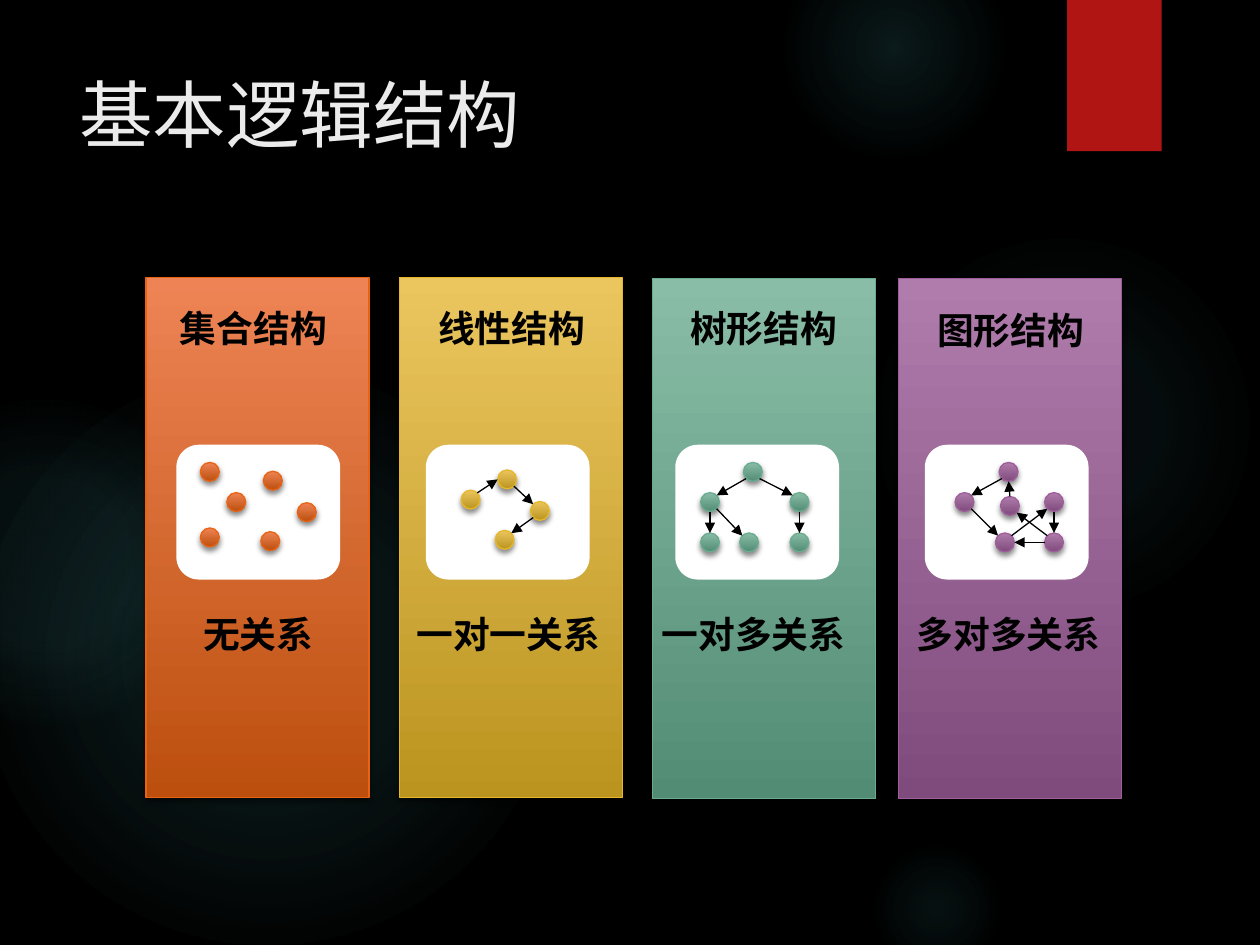
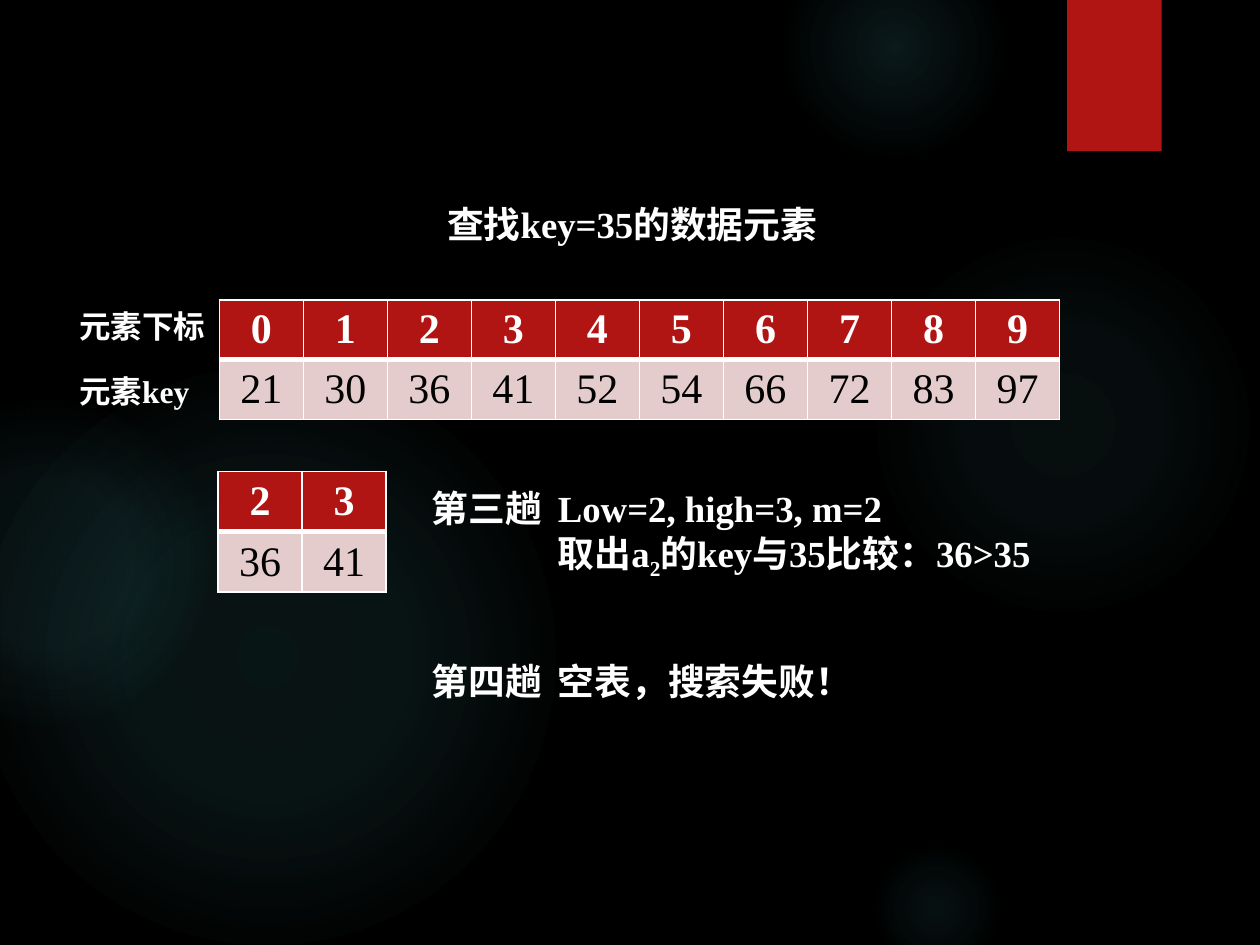
"""Builds two slides on data structures: the basic logical structures and a failed binary search."""
import math
from dataclasses import dataclass
from typing import NamedTuple

from pptx import Presentation
from pptx import util as u
from pptx.dml.color import RGBColor
from pptx.enum import shapes, text
from pptx.oxml import parse_xml
from pptx.oxml.ns import nsdecls, qn

EMU_PER_PX = 9144
CJK_FONT, LATIN_FONT = "Noto Sans CJK SC", "Times New Roman"
BLACK, WHITE, TITLE_GREY = "000000", "FFFFFF", "EBEBEB"
RED, PINK, GLOW_TEAL = "B01513", "E4CCCC", "50B9C1"
NODE_SIZE = 15
PANEL_SIZE = (177, 413)
TABLE_COLUMN, TABLE_HEIGHT = 66.7, 95


class Box(NamedTuple):
    left: float
    top: float
    width: float
    height: float


class Style(NamedTuple):
    size: int
    colour: str
    font: str = LATIN_FONT
    bold: bool = True


class Glow(NamedTuple):
    left: int
    top: int
    size: int
    stops: tuple[tuple[int, int], ...]


class Palette(NamedTuple):
    light: str
    dark: str
    line: str


class Edge(NamedTuple):
    """An arrow between two nodes; sites count eighths of a turn anticlockwise from the top."""
    start: int
    start_site: int
    end: int
    end_site: int


@dataclass(frozen=True)
class Structure:
    heading: str
    relation: str
    palette: Palette
    panel: tuple[int, int]
    heading_box: Box
    relation_box: Box
    nodes: tuple[tuple[int, int], ...]
    edges: tuple[Edge, ...] = ()


GLOWS = (
    Glow(689, 183, 308, ((0, 7), (36, 6), (69, 0))),
    Glow(622, -50, 175, ((0, 14), (36, 7), (73, 0))),
    Glow(689, 667, 108, ((0, 9), (36, 5), (66, 0))),
    Glow(-17, 292, 458, ((0, 11), (36, 10), (75, 0))),
    Glow(-92, 317, 258, ((0, 8), (36, 8), (72, 0))),
)
STRUCTURES = (
    Structure(
        "集合结构", "无关系", Palette("EE8455", "BC4F0E", "EA6312"), (116, 220),
        Box(133, 238, 150, 45), Box(128, 481, 154, 45),
        ((159, 367), (180, 391), (209, 374), (159, 419), (207, 422), (236, 399))),
    Structure(
        "线性结构", "一对一关系", Palette("EBC65F", "BB941F", "E6B729"), (317, 220),
        Box(338, 238, 150, 45), Box(320, 481, 167, 45),
        ((366, 389), (395, 373), (393, 421), (421, 398)),
        (Edge(0, 7, 1, 2), Edge(1, 5, 3, 1), Edge(3, 3, 2, 7))),
    Structure(
        "树形结构", "一对多关系", Palette("89BDA7", "538C74", "6AAC90"), (518, 221),
        Box(538, 238, 150, 45), Box(507, 481, 182, 45),
        ((590, 367), (556, 391), (627, 391), (556, 423), (587, 423), (627, 423)),
        (Edge(0, 3, 1, 7), Edge(0, 5, 2, 1), Edge(1, 4, 3, 0), Edge(1, 5, 4, 1),
         Edge(2, 4, 5, 0))),
    Structure(
        "图形结构", "多对多关系", Palette("AF7CAC", "7F4B7C", "9E5E9B"), (713, 221),
        Box(734, 239, 150, 45), Box(717, 481, 167, 45),
        ((793, 367), (758, 391), (829, 391), (794, 394), (790, 423), (829, 423)),
        (Edge(0, 3, 1, 7), Edge(1, 5, 4, 1), Edge(4, 7, 2, 3), Edge(2, 4, 5, 0),
         Edge(5, 2, 4, 6), Edge(5, 1, 3, 5), Edge(3, 0, 0, 4))),
)
KEYS = (21, 30, 36, 41, 52, 54, 66, 72, 83, 97)
TITLE = Style(42, TITLE_GREY, CJK_FONT, False)
PANEL_TEXT = Style(21, BLACK, CJK_FONT)
STEP_TEXT = Style(21, WHITE)


def px(length: float) -> int:
    return u.Emu(round(length * EMU_PER_PX))


def rgb(colour: str) -> RGBColor:
    return RGBColor.from_string(colour)


def add_shape(slide, kind, box: Box, fill: str | Palette, shadow: bool = False):
    """Draw a preset shape, plain without outline or shaded with one."""
    shape = slide.shapes.add_shape(kind, *map(px, box))
    shape.shadow.inherit = False
    if isinstance(fill, Palette):
        shape.fill.gradient()
        shape.fill.gradient_angle = 270
        for stop, colour, position in zip(shape.fill.gradient_stops, fill, (0, 1)):
            stop.color.rgb = rgb(colour)
            stop.position = position
        shape.line.color.rgb = rgb(fill.line)
        shape.line.width = u.Pt(0.75)
    else:
        shape.fill.solid()
        shape.fill.fore_color.rgb = rgb(fill)
        shape.line.fill.background()
    if shadow:
        shape._element.spPr.find(qn("a:effectLst")).append(parse_xml(
            f'<a:outerShdw {nsdecls("a")} blurRad="{u.Pt(3)}" dist="{u.Pt(2)}" dir="5400000" '
            f'rotWithShape="0"><a:srgbClr val="{BLACK}"><a:alpha val="45000"/></a:srgbClr>'
            '</a:outerShdw>'))
    return shape


def add_glow(slide, glow: Glow) -> None:
    """Draw a round light that fades out from its centre."""
    box = Box(glow.left, glow.top, glow.size, glow.size)
    properties = add_shape(slide, shapes.MSO_SHAPE.OVAL, box, GLOW_TEAL)._element.spPr
    stops = "".join(
        f'<a:gs pos="{position * 1000}"><a:srgbClr val="{GLOW_TEAL}">'
        f'<a:alpha val="{opacity * 1000}"/></a:srgbClr></a:gs>'
        for position, opacity in glow.stops)
    properties.replace(properties.find(qn("a:solidFill")), parse_xml(
        f'<a:gradFill {nsdecls("a")}><a:gsLst>{stops}</a:gsLst><a:path path="circle">'
        '<a:fillToRect l="50000" t="50000" r="50000" b="50000"/></a:path></a:gradFill>'))


def set_style(paragraph, style: Style) -> None:
    font = paragraph.font
    font.size, font.bold, font.name = u.Pt(style.size), style.bold, style.font
    font.color.rgb = rgb(style.colour)
    font._element.append(parse_xml(f'<a:ea {nsdecls("a")} typeface="{CJK_FONT}"/>'))


def add_text(slide, box: Box, content: str, style: Style, centred: bool = False):
    """Write one paragraph and return its text frame."""
    frame = slide.shapes.add_textbox(*map(px, box)).text_frame
    frame.word_wrap = True
    paragraph = frame.paragraphs[0]
    paragraph.text = content
    paragraph.alignment = text.PP_ALIGN.CENTER if centred else text.PP_ALIGN.LEFT
    set_style(paragraph, style)
    return frame


def set_indent(paragraph, left: int, first_line: int) -> None:
    properties = paragraph._p.get_or_add_pPr()
    properties.set("marL", str(px(left)))
    properties.set("indent", str(px(first_line)))


def add_step(slide, top: int, height: int, content: str):
    """Write a search step whose label hangs left of its description."""
    frame = add_text(slide, Box(333, top, 667, height), content, STEP_TEXT)
    set_indent(frame.paragraphs[0], 100, -100)
    return frame


def node_site(node: tuple[int, int], site: int) -> tuple[int, int]:
    radius, angle = NODE_SIZE / 2, math.pi / 2 + site * math.pi / 4
    return (px(node[0] + radius + radius * math.cos(angle)),
            px(node[1] + radius - radius * math.sin(angle)))


def add_arrow(slide, nodes: tuple[tuple[int, int], ...], edge: Edge) -> None:
    connector = slide.shapes.add_connector(
        shapes.MSO_CONNECTOR.STRAIGHT,
        *node_site(nodes[edge.start], edge.start_site),
        *node_site(nodes[edge.end], edge.end_site))
    connector.line.color.rgb = rgb(BLACK)
    connector.line.width = u.Pt(0.75)
    connector.line._get_or_add_ln().append(
        parse_xml(f'<a:tailEnd {nsdecls("a")} type="triangle"/>'))
    connector._element.spPr.append(parse_xml(f'<a:effectLst {nsdecls("a")}/>'))


def add_structure(slide, structure: Structure, card: Box) -> None:
    """Draw one coloured panel with its heading, diagram and relation."""
    palette = structure.palette
    add_shape(slide, shapes.MSO_SHAPE.RECTANGLE, Box(*structure.panel, *PANEL_SIZE), palette, True)
    add_text(slide, structure.heading_box, structure.heading, PANEL_TEXT)
    add_shape(slide, shapes.MSO_SHAPE.ROUNDED_RECTANGLE, card, WHITE)
    for node in structure.nodes:
        add_shape(slide, shapes.MSO_SHAPE.OVAL, Box(*node, NODE_SIZE, NODE_SIZE), palette, True)
    for edge in structure.edges:
        add_arrow(slide, structure.nodes, edge)
    add_text(slide, structure.relation_box, structure.relation, PANEL_TEXT, True)


def set_cell(cell, content: int, header: bool) -> None:
    cell.text = str(content)
    cell.vertical_anchor = text.MSO_ANCHOR.MIDDLE
    cell.margin_left = cell.margin_right = px(7)
    cell.margin_top = cell.margin_bottom = px(4)
    cell.fill.solid()
    cell.fill.fore_color.rgb = rgb(RED if header else PINK)
    paragraph = cell.text_frame.paragraphs[0]
    paragraph.alignment = text.PP_ALIGN.CENTER
    set_style(paragraph, Style(24, WHITE if header else BLACK, bold=header))
    thick_side = "B" if header else "T"
    for position, side in enumerate("LRTB"):
        width = u.Pt(3 if side == thick_side else 1)
        cell._tc.get_or_add_tcPr().insert(position, parse_xml(
            f'<a:ln{side} {nsdecls("a")} w="{width}"><a:solidFill>'
            f'<a:srgbClr val="{WHITE}"/></a:solidFill></a:ln{side}>'))


def add_key_table(slide, left: int, top: int, indices: range) -> None:
    """Show the given indices above the keys they point at."""
    box = Box(left, top, TABLE_COLUMN * len(indices), TABLE_HEIGHT)
    table = slide.shapes.add_table(2, len(indices), *map(px, box)).table
    table.horz_banding = False
    for column, index in enumerate(indices):
        set_cell(table.cell(0, column), index, True)
        set_cell(table.cell(1, column), KEYS[index], False)


def add_slide(presentation):
    """Add a blank slide with the shared glows and the red tab."""
    slide = presentation.slides.add_slide(presentation.slide_layouts[6])
    for glow in GLOWS:
        add_glow(slide, glow)
    add_shape(slide, shapes.MSO_SHAPE.RECTANGLE, Box(847, 0, 75, 120), RED, True)
    return slide


def build_structures_slide(presentation) -> None:
    slide = add_slide(presentation)
    add_text(slide, Box(53, 50, 772, 153), "基本逻辑结构", TITLE)
    for position, structure in enumerate(STRUCTURES):
        add_structure(slide, structure, Box(140 + 198 * position, 353, 130, 107))


def build_search_slide(presentation) -> None:
    slide = add_slide(presentation)
    add_key_table(slide, 174, 238, range(len(KEYS)))
    add_text(slide, Box(53, 239, 121, 40), "元素下标", Style(18, WHITE, "League Spartan"))
    add_text(slide, Box(53, 290, 167, 40), "元素key", Style(18, WHITE))
    add_text(slide, Box(345, 155, 427, 45), "查找key=35的数据元素", STEP_TEXT)
    comparison = add_step(slide, 381, 81, "第三趟\tLow=2, high=3, m=2").add_paragraph()
    for content, baseline in (("取出a", 0), ("2", -25000), ("的key与35比较：36>35", 0)):
        run = comparison.add_run()
        run.text = content
        if baseline:
            run.font._element.set("baseline", str(baseline))
    set_style(comparison, STEP_TEXT)
    set_indent(comparison, 100, 0)
    add_key_table(slide, 173, 374, range(2, 4))
    add_step(slide, 518, 45, "第四趟\t空表，搜索失败！")


def main() -> None:
    presentation = Presentation()
    presentation.slide_width, presentation.slide_height = px(1000), px(750)
    background = presentation.slide_master.background.fill
    background.solid()
    background.fore_color.rgb = rgb(BLACK)
    build_structures_slide(presentation)
    build_search_slide(presentation)
    presentation.save("out.pptx")


if __name__ == "__main__":
    main()
